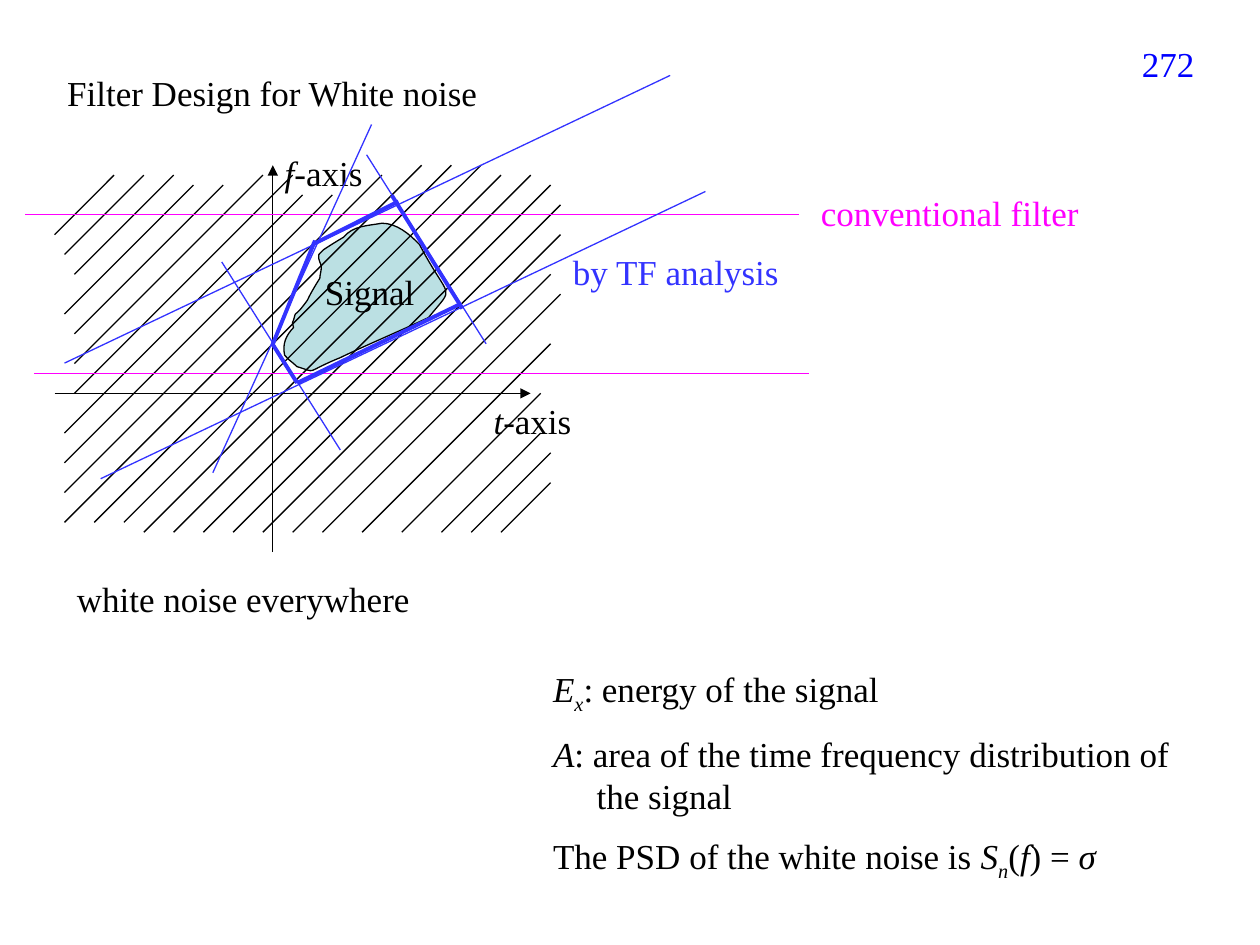
from math import cos, radians, sin

from lxml.etree import SubElement
from pptx import Presentation
from pptx.dml.color import RGBColor
from pptx.enum.shapes import MSO_CONNECTOR
from pptx.enum.text import MSO_ANCHOR, MSO_AUTO_SIZE, PP_ALIGN
from pptx.oxml.ns import qn
from pptx.util import Cm, Pt

BLACK = RGBColor(0x00, 0x00, 0x00)
BLUE = RGBColor(0x33, 0x33, 0xFF)
PAGE_BLUE = RGBColor(0x00, 0x00, 0xFF)
MAGENTA = RGBColor(0xFF, 0x00, 0xFF)
SIGNAL_FILL = RGBColor(0xBB, 0xE0, 0xE3)

FONT = {"name": "Times New Roman", "size": Pt(20), "bold": False}
FRAME = {"word_wrap": True, "auto_size": MSO_AUTO_SIZE.NONE,
         "vertical_anchor": MSO_ANCHOR.TOP}
ITALIC, SUBSCRIPT = "i", "is"
THIN, THICK = Pt(0.75), Pt(2.25)
LINE_HEIGHT = 1.1

# Hatching at 45 degrees: right end x, right end y, run to the lower left (cm)
HATCHING = [
    (1.2, 0.2, 1.2), (1.8, 0.2, 1.6), (2.4, 0.2, 2.0), (2.8, 0.4, 2.6),
    (3.4, 0.4, 3.0), (4.2, 0.2, 3.8), (4.8, 0.2, 4.4), (5.0, 0.6, 4.8),
    (5.6, 0.6, 5.4), (6.6, 0.2, 6.4), (7.4, 0.0, 7.2), (8.0, 0.0, 7.2),
    (8.6, 0.0, 7.2), (9.0, 0.2, 7.2), (9.6, 0.2, 7.2), (10.0, 0.4, 7.0),
    (10.2, 0.8, 6.6), (10.2, 1.4, 6.0), (10.0, 2.2, 5.2), (10.2, 2.6, 4.8),
    (10.0, 3.6, 3.8), (9.8, 4.6, 2.8), (9.8, 5.4, 2.0), (10.0, 5.8, 1.6),
    (10.0, 6.4, 1.0),
]

# Signal region: start, then two control points and an end for each curve
SIGNAL_TILT = -30
SIGNAL_CENTER = (6.06, 2.57)
SIGNAL_OUTLINE = [
    (4.82, 3.12),
    (4.89, 2.87), (4.79, 3.15), (5.10, 2.72),
    (5.17, 2.56), (5.35, 2.28), (5.35, 2.28),
    (5.35, 2.21), (5.38, 2.13), (5.38, 2.05),
    (5.38, 1.98), (5.30, 1.90), (5.33, 1.80),
    (5.35, 1.78), (5.40, 1.72), (5.43, 1.70),
    (5.55, 1.62), (5.71, 1.52), (5.83, 1.45),
    (6.01, 1.22), (6.32, 1.22), (6.60, 1.17),
    (6.90, 1.17), (7.16, 1.39), (7.36, 1.60),
    (7.97, 2.77), (8.09, 2.39), (7.54, 3.07),
    (6.95, 3.35), (6.34, 3.60), (5.76, 3.88),
    (5.00, 4.19), (5.33, 4.19), (4.89, 4.06),
    (4.69, 3.88), (4.79, 3.99), (4.64, 3.83),
    (4.59, 3.60), (4.67, 3.43), (4.82, 3.27),
    (4.79, 3.15), (4.79, 3.20), (4.82, 3.12),
]

CONVENTIONAL_CUTOFFS = [(-0.59, 0.99, 15.0, 0.99), (-0.41, 4.2, 15.2, 4.2)]
TF_CUTOFFS = [
    (0.93, 6.32, 13.12, 0.53), (0.2, 3.99, 12.41, -1.81),
    (3.19, 6.2, 6.39, -0.82), (8.7, 3.6, 6.29, -0.21),
    (5.76, 5.74, 3.37, 1.95),
]
TF_PASS_REGION = [
    (4.89, 4.39, 8.2, 2.79), (5.2, 1.6, 6.93, 0.73),
    (8.22, 2.89, 6.8, 0.61), (4.89, 4.39, 4.39, 3.6),
    (4.39, 3.63, 5.25, 1.52),
]


def apply(target, values):
    for name, value in values.items():
        setattr(target, name, value)


def write(frame, paragraphs, color=BLACK, align=PP_ALIGN.LEFT):
    """Fill a frame; each paragraph is a list of (text, style) runs."""
    apply(frame, FRAME)
    for number, runs in enumerate(paragraphs):
        paragraph = frame.add_paragraph() if number else frame.paragraphs[0]
        paragraph.alignment = align
        paragraph.space_before = Pt(10 if number else 0)
        for text, style in runs:
            if text == "\n":
                paragraph.add_line_break()
                continue
            run = paragraph.add_run()
            run.text = text
            apply(run.font, {**FONT, "italic": ITALIC in style})
            run.font.color.rgb = color
            if style == SUBSCRIPT:
                run._r.get_or_add_rPr().set("baseline", "-25000")


def add_label(slide, left, top, width, runs, color=BLACK,
              align=PP_ALIGN.LEFT):
    label = slide.shapes.add_textbox(Cm(left), Cm(top), Cm(width),
                                     Cm(LINE_HEIGHT))
    write(label.text_frame, [runs], color, align)


def add_line(slide, left, top, ends, color=BLACK, width=THIN, arrow=False):
    x1, y1, x2, y2 = ends
    line = slide.shapes.add_connector(
        MSO_CONNECTOR.STRAIGHT, Cm(left + x1), Cm(top + y1),
        Cm(left + x2), Cm(top + y2))
    line.line.color.rgb = color
    line.line.width = width
    properties = line._element.spPr
    if arrow:
        SubElement(properties.find(qn("a:ln")), qn("a:tailEnd"),
                   type="triangle")
    SubElement(properties, qn("a:effectLst"))


def rotate(point, pivot, degrees):
    dx, dy = point[0] - pivot[0], point[1] - pivot[1]
    c, s = cos(radians(degrees)), sin(radians(degrees))
    return pivot[0] + dx * c - dy * s, pivot[1] + dx * s + dy * c


def bend_segments(shape):
    """Turn every three straight segments into one cubic curve."""
    segments = list(shape._element.iter(qn("a:lnTo")))
    for first in range(0, len(segments), 3):
        curve, *others = segments[first:first + 3]
        curve.tag = qn("a:cubicBezTo")
        for segment in others:
            curve.append(segment[0])
            segment.getparent().remove(segment)


def add_signal(slide, left, top):
    pivot = (Cm(left + SIGNAL_CENTER[0]), Cm(top + SIGNAL_CENTER[1]))
    points = [rotate((Cm(left + x), Cm(top + y)), pivot, -SIGNAL_TILT)
              for x, y in SIGNAL_OUTLINE]
    builder = slide.shapes.build_freeform(*points[0])
    builder.add_line_segments(points[1:], close=True)
    signal = builder.convert_to_shape()
    bend_segments(signal)
    middle = (signal.left + signal.width / 2, signal.top + signal.height / 2)
    center_x, center_y = rotate(middle, pivot, SIGNAL_TILT)
    apply(signal, {"left": round(center_x - signal.width / 2),
                   "top": round(center_y - signal.height / 2),
                   "rotation": SIGNAL_TILT})
    signal.shadow.inherit = False
    signal.fill.solid()
    signal.fill.fore_color.rgb = SIGNAL_FILL
    signal.line.color.rgb = BLACK
    signal.line.width = THIN
    add_label(slide, left + 5.2, top + 2.0, 2.6, [("Signal", "")])


def add_noise_plane(slide, left, top):
    """Time-frequency plane with its signal, axes and noise hatching."""
    add_signal(slide, left, top)
    for axis in [(0, 4.6, 9.6, 4.6), (4.4, 7.8, 4.4, 0)]:
        add_line(slide, left, top, axis, arrow=True)
    add_label(slide, left + 8.6, top + 4.6, 2.2, [("t", ITALIC), ("-axis", "")])
    add_label(slide, left + 4.39, top - 0.41, 3.0,
              [("f", ITALIC), ("-axis", "")])
    for x, y, run in HATCHING:
        add_line(slide, left, top, (x, y, x - run, y + run))
    add_label(slide, left + 0.2, top + 8.18, 9.8,
              [("white noise everywhere", "")])


def add_filters(slide, left, top):
    for lines, color, width in [(CONVENTIONAL_CUTOFFS, MAGENTA, THIN),
                                (TF_CUTOFFS, BLUE, THIN),
                                (TF_PASS_REGION, BLUE, THICK)]:
        for ends in lines:
            add_line(slide, left, top, ends, color, width)
    add_label(slide, left + 15.2, top + 0.4, 5.8,
              [("conventional filter", "")], MAGENTA)
    add_label(slide, left + 10.2, top + 1.6, 5.8,
              [("by TF analysis", "")], BLUE)


def add_definitions(slide, left, top, width, height):
    box = slide.shapes.add_textbox(Cm(left), Cm(top), Cm(width), Cm(height))
    write(box.text_frame, [
        [("E", ITALIC), ("x", SUBSCRIPT), (": energy of the signal", "")],
        [("A", ITALIC), (": area of the time frequency distribution of", ""),
         ("\n", ""), ("the signal", "")],
        [("The PSD of the white noise is ", ""), ("S", ITALIC),
         ("n", SUBSCRIPT), ("(", ""), ("f", ITALIC), (") = ", ""),
         ("σ", ITALIC)],
    ])
    hanging = box.text_frame.paragraphs[1]._p.get_or_add_pPr()
    hanging.set("marL", str(Cm(0.88)))
    hanging.set("indent", str(-Cm(0.88)))


def add_title(slide, left, top, width):
    title = slide.shapes.title
    apply(title, {"left": Cm(left), "top": Cm(top), "width": Cm(width),
                  "height": Cm(LINE_HEIGHT)})
    write(title.text_frame, [[("Filter Design for White noise", "")]])


def main():
    deck = Presentation()
    deck.slide_width, deck.slide_height = Cm(25.4), Cm(19.05)
    slide = deck.slides.add_slide(deck.slide_layouts[5])
    add_title(slide, 1.1, 1.31, 13)
    add_label(slide, 22.1, 0.73, 2.23, [("272", "")], PAGE_BLUE,
              PP_ALIGN.RIGHT)
    add_noise_plane(slide, 1.1, 3.33)
    add_filters(slide, 1.1, 3.33)
    add_definitions(slide, 10.9, 13.33, 13, 4.5)
    deck.save("out.pptx")


if __name__ == "__main__":
    main()
